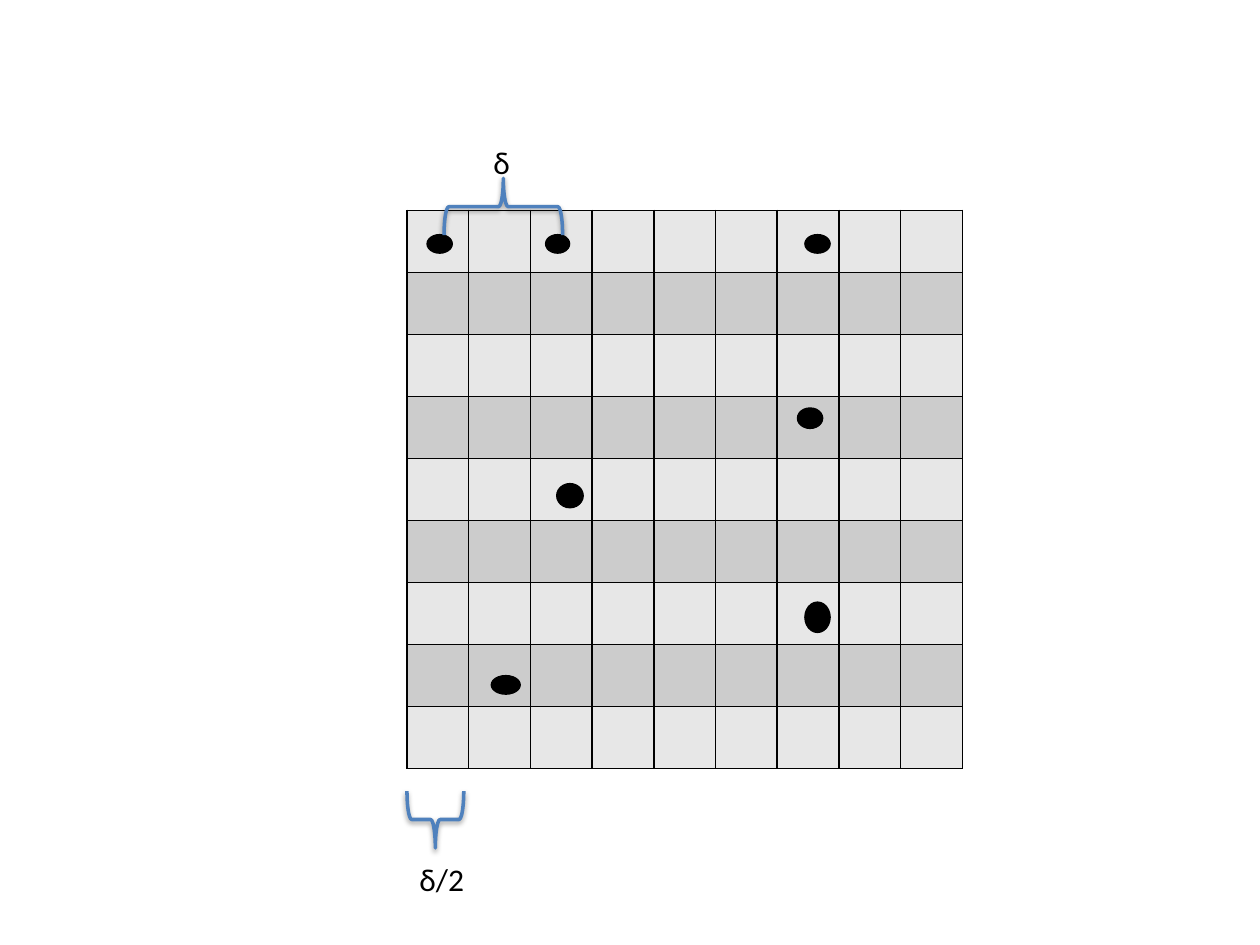
import dataclasses

import lxml.etree
import pptx
import pptx.dml.color
import pptx.enum.shapes
import pptx.enum.text
import pptx.oxml
import pptx.oxml.ns
import pptx.util

COLORS = {
    "black": "000000",
    "light": "E7E7E7",
    "dark": "CCCCCC",
    "brace": "4F81BD",
}
FONT = "Calibri"
CELL_COUNT = 9
GRID_LEFT, GRID_TOP = 3.23, 1.67
COLUMN = 4.41 / CELL_COUNT
ROW = 4.43 / CELL_COUNT
SHAPES = pptx.enum.shapes.MSO_SHAPE


@dataclasses.dataclass
class Dot:
    column: float
    row: float
    width: float = 0.41
    height: float = 0.3


@dataclasses.dataclass
class Brace:
    column: float
    row: float
    span: float
    rotation: int
    depth: float = 0.92


@dataclasses.dataclass
class Label:
    column: float
    row: float
    text: str


DOTS = [
    Dot(0.53, 0.54),
    Dot(2.44, 0.54, width=0.39),
    Dot(2.64, 4.6, width=0.43, height=0.39),
    Dot(6.53, 3.35, height=0.33),
    Dot(6.65, 6.56, height=0.49),
    Dot(1.6, 7.65, width=0.47),
    Dot(6.65, 0.54),
]
BRACES = [
    Brace(1.56, -0.06, span=1.92, rotation=90),
    Brace(0.46, 9.82, span=0.92, rotation=270),
]
LABELS = [Label(1.2, -1.18, "δ"), Label(0, 10.38, "δ/2")]


def color(name: str) -> pptx.dml.color.RGBColor:
    return pptx.dml.color.RGBColor.from_string(COLORS[name])


def grid_x(column: float) -> int:
    return pptx.util.Inches(GRID_LEFT + column * COLUMN)


def grid_y(row: float) -> int:
    return pptx.util.Inches(GRID_TOP + row * ROW)


def add_centered_shape(slide, kind, column: float, row: float, width: int, height: int):
    shape = slide.shapes.add_shape(
        kind, grid_x(column) - width // 2, grid_y(row) - height // 2, width, height
    )
    shape.shadow.inherit = False
    return shape


def add_borders(cell) -> None:
    properties = cell._tc.get_or_add_tcPr()
    for position, side in enumerate(("lnL", "lnR", "lnT", "lnB")):
        border = pptx.oxml.parse_xml(
            f'<a:{side} {pptx.oxml.ns.nsdecls("a")} w="{pptx.util.Pt(1)}">'
            f'<a:solidFill><a:srgbClr val="{COLORS["black"]}"/></a:solidFill></a:{side}>'
        )
        properties.insert(position, border)


def add_grid(slide) -> None:
    frame = slide.shapes.add_table(
        CELL_COUNT, CELL_COUNT, grid_x(0), grid_y(0),
        pptx.util.Inches(COLUMN * CELL_COUNT), pptx.util.Inches(ROW * CELL_COUNT),
    )
    table = frame.table
    table.first_row = False
    for column in table.columns:
        column.width = pptx.util.Inches(COLUMN)
    for row_index, row in enumerate(table.rows):
        row.height = pptx.util.Inches(ROW)
        for cell in row.cells:
            cell.fill.solid()
            cell.fill.fore_color.rgb = color("dark" if row_index % 2 else "light")
            add_borders(cell)


def add_dot(slide, dot: Dot) -> None:
    shape = add_centered_shape(
        slide, SHAPES.OVAL, dot.column, dot.row,
        pptx.util.Inches(dot.width * COLUMN), pptx.util.Inches(dot.height * ROW),
    )
    shape.fill.solid()
    shape.fill.fore_color.rgb = color("black")
    shape.line.color.rgb = color("black")
    shape.line.width = pptx.util.Pt(0.75)


def add_brace(slide, brace: Brace) -> None:
    shape = add_centered_shape(
        slide, SHAPES.LEFT_BRACE, brace.column, brace.row,
        pptx.util.Inches(brace.depth * COLUMN), pptx.util.Inches(brace.span * COLUMN),
    )
    shape.rotation = brace.rotation
    shape.fill.background()
    shape.line.color.rgb = color("brace")
    shape.line.width = pptx.util.Pt(2)
    effects = shape._element.spPr.find(pptx.oxml.ns.qn("a:effectLst"))
    shadow = lxml.etree.SubElement(
        effects, pptx.oxml.ns.qn("a:outerShdw"),
        blurRad=str(pptx.util.Pt(3.1)), dist=str(pptx.util.Pt(1.6)),
        dir="5400000", rotWithShape="0",
    )
    shade = lxml.etree.SubElement(
        shadow, pptx.oxml.ns.qn("a:srgbClr"), val=COLORS["black"]
    )
    lxml.etree.SubElement(shade, pptx.oxml.ns.qn("a:alpha"), val="38000")


def write_text(frame, text: str, *, size: float = 18, name: str = "black") -> None:
    run = frame.paragraphs[0].add_run()
    run.text = text
    run.font.name = FONT
    run.font.size = pptx.util.Pt(size)
    run.font.color.rgb = color(name)


def add_label(slide, label: Label) -> None:
    box = slide.shapes.add_textbox(
        grid_x(label.column), grid_y(label.row),
        pptx.util.Inches(0.81), pptx.util.Inches(0.4),
    )
    box.text_frame.word_wrap = True
    box.text_frame.auto_size = pptx.enum.text.MSO_AUTO_SIZE.SHAPE_TO_FIT_TEXT
    write_text(box.text_frame, label.text)


def build() -> None:
    presentation = pptx.Presentation()
    presentation.slide_width = pptx.util.Inches(10)
    presentation.slide_height = pptx.util.Inches(7.5)
    slide = presentation.slides.add_slide(presentation.slide_layouts[6])
    add_grid(slide)
    for dot in DOTS:
        add_dot(slide, dot)
    for brace, label in zip(BRACES, LABELS):
        add_brace(slide, brace)
        add_label(slide, label)
    presentation.save("out.pptx")


build()
